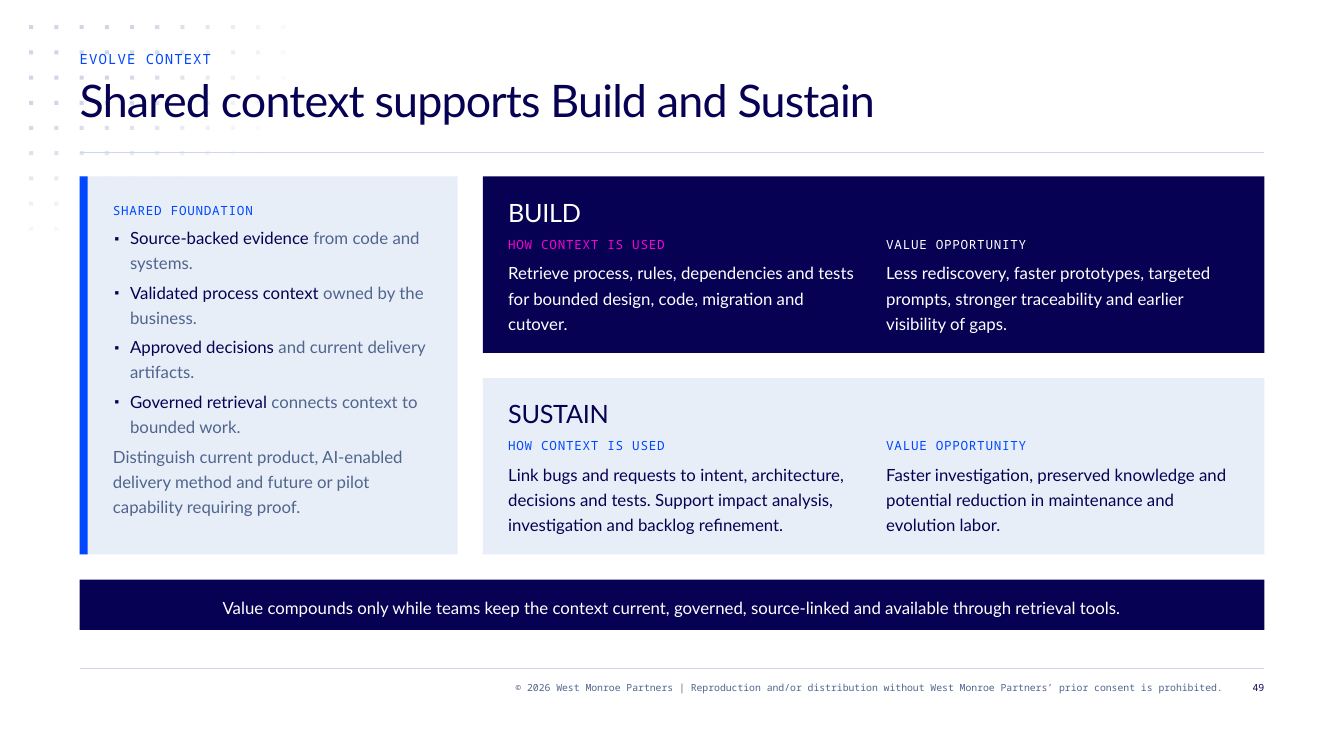
from collections import namedtuple
from math import hypot

from lxml.etree import SubElement
from pptx import Presentation
from pptx.dml.color import RGBColor
from pptx.enum.shapes import MSO_CONNECTOR, MSO_SHAPE
from pptx.enum.text import MSO_ANCHOR, MSO_AUTO_SIZE, PP_ALIGN
from pptx.oxml.ns import qn
from pptx.util import Inches, Pt

NAVY = RGBColor(0x07, 0x01, 0x54)
BLUE = RGBColor(0x00, 0x47, 0xFF)
PINK = RGBColor(0xF9, 0x00, 0xD3)
SLATE = RGBColor(0x50, 0x65, 0x8E)
MIST = RGBColor(0xCE, 0xD7, 0xE6)
PALE = RGBColor(0xE8, 0xEE, 0xF8)
WHITE = RGBColor(0xFF, 0xFF, 0xFF)
SANS, MONO = "Lato", "Noto Sans Mono"

Box = namedtuple("Box", "left top width height")

FOUNDATION = [
    ("Source-backed evidence", " from code and systems."),
    ("Validated process context", " owned by the business."),
    ("Approved decisions", " and current delivery artifacts."),
    ("Governed retrieval", " connects context to bounded work."),
]
FOUNDATION_NOTE = ("Distinguish current product, AI-enabled delivery method and "
                   "future or pilot capability requiring proof.")
BUILD = ("Retrieve process, rules, dependencies and tests for bounded design, "
         "code, migration and cutover.",
         "Less rediscovery, faster prototypes, targeted prompts, stronger "
         "traceability and earlier visibility of gaps.")
SUSTAIN = ("Link bugs and requests to intent, architecture, decisions and tests. "
           "Support impact analysis, investigation and backlog refinement.",
           "Faster investigation, preserved knowledge and potential reduction in "
           "maintenance and evolution labor.")


def add_rectangle(slide, box, color):
    shape = slide.shapes.add_shape(MSO_SHAPE.RECTANGLE, *map(Inches, box))
    shape.shadow.inherit = False
    shape.fill.solid()
    shape.fill.fore_color.rgb = color
    shape.line.fill.background()
    return shape


def add_rule(slide, left, top, width):
    line = slide.shapes.add_connector(
        MSO_CONNECTOR.STRAIGHT, Inches(left), Inches(top),
        Inches(left + width), Inches(top))
    line.line.color.rgb = MIST
    line.line.width = Pt(0.75)
    SubElement(line.element.spPr, qn("a:effectLst"))


def prepare_frame(shape):
    frame = shape.text_frame
    frame.word_wrap = True
    frame.auto_size = MSO_AUTO_SIZE.NONE
    frame.vertical_anchor = MSO_ANCHOR.TOP
    frame.margin_left = frame.margin_top = 0
    frame.margin_right = frame.margin_bottom = 0
    return frame


def place_placeholder(placeholder, box):
    """Move a placeholder to its box and to the front."""
    placeholder.left, placeholder.top = Inches(box.left), Inches(box.top)
    placeholder.width, placeholder.height = Inches(box.width), Inches(box.height)
    placeholder.element.getparent().append(placeholder.element)
    return prepare_frame(placeholder)


def write_text(paragraph, *parts, size=12, font=SANS, leading=18, tracking=0,
               align=PP_ALIGN.LEFT, before=0):
    """Fill a paragraph with (text, colour) parts."""
    paragraph.alignment = align
    paragraph.line_spacing = Pt(leading)
    paragraph.space_before = Pt(before)
    paragraph.space_after = Pt(0)
    for text, color in parts:
        run = paragraph.add_run()
        run.text = text
        run.font.name = font
        run.font.size = Pt(size)
        run.font.color.rgb = color
        if tracking:
            run.font._element.set("spc", str(round(tracking * 100)))


def add_text(slide, box, text, color, **text_format):
    frame = prepare_frame(slide.shapes.add_textbox(*map(Inches, box)))
    write_text(frame.paragraphs[0], (text, color), **text_format)


def add_label(slide, box, text, color):
    add_text(slide, box, text, color, size=9, font=MONO, leading=12, tracking=0.5)


def set_bullet(paragraph, indent=0.17, visible=True):
    properties = paragraph._p.get_or_add_pPr()
    margin = Inches(indent) if visible else 0
    properties.set("marL", str(margin))
    properties.set("indent", str(-margin))
    if not visible:
        SubElement(properties, qn("a:buNone"))
        return
    color = SubElement(properties, qn("a:buClr"))
    SubElement(color, qn("a:srgbClr"), val=str(NAVY))
    SubElement(properties, qn("a:buSzPct"), val="80000")
    SubElement(properties, qn("a:buFont"), typeface=MONO)
    SubElement(properties, qn("a:buChar"), char="▪")


def add_dot_grid(slide, box, pitch=0.25, dot=0.04):
    """Dots that fade with elliptical distance from the corner."""
    for column in range(11):
        for row in range(9 if column < 3 else 7):
            opacity = min(1, 1.533 * (1 - hypot(column / 11.08, row / 9.07)))
            if opacity <= 0:
                continue
            shape = add_rectangle(slide, Box(box.left + column * pitch,
                                             box.top + row * pitch, dot, dot), MIST)
            if opacity < 1:
                color = shape.element.spPr.find(qn("a:solidFill"))[0]
                SubElement(color, qn("a:alpha"), val=str(round(opacity * 100) * 1000))


def add_header(slide, box):
    add_rule(slide, box.left, box.top + 1.01, box.width)
    add_text(slide, box._replace(height=0.17), "EVOLVE CONTEXT", BLUE,
             size=10, font=MONO, leading=12, tracking=0.8)
    title = place_placeholder(slide.shapes.title,
                              box._replace(top=box.top + 0.25, height=0.75))
    write_text(title.paragraphs[0], ("Shared context supports Build and Sustain", NAVY),
               size=32, leading=36, tracking=-0.6)


def add_foundation(slide, box):
    add_rectangle(slide, box, PALE)
    add_rectangle(slide, box._replace(width=0.08), BLUE)
    inner = Box(box.left + 0.33, box.top + 0.25, box.width - 0.58, 0.17)
    add_label(slide, inner, "SHARED FOUNDATION", BLUE)
    body = place_placeholder(slide.placeholders[1],
                             inner._replace(top=box.top + 0.46, height=2.92))
    for index, (lead, rest) in enumerate(FOUNDATION):
        paragraph = body.add_paragraph() if index else body.paragraphs[0]
        set_bullet(paragraph)
        write_text(paragraph, (lead, NAVY), (rest, SLATE), before=3 if index else 0)
    note = body.add_paragraph()
    set_bullet(note, visible=False)
    write_text(note, (FOUNDATION_NOTE, SLATE), before=3)


def add_stage(slide, box, name, texts, fill, text_color, label_colors):
    add_rectangle(slide, box, fill)
    left = box.left + 0.25
    add_text(slide, Box(left, box.top + 0.17, box.width - 0.5, 0.33), name, text_color,
             size=18, leading=24, tracking=-0.2)
    labels = ("HOW CONTEXT IS USED", "VALUE OPPORTUNITY")
    for column, (label, color, text) in enumerate(zip(labels, label_colors, texts)):
        cell = Box(left + column * 3.75, box.top + 0.58, 3.5, 0.17)
        add_label(slide, cell, label, color)
        add_text(slide, cell._replace(top=box.top + 0.81, height=0.75), text, text_color)


def add_takeaway(slide, box):
    add_rectangle(slide, box, NAVY)
    add_text(slide, Box(box.left + 0.17, box.top + 0.13, box.width - 0.34, 0.25),
             "Value compounds only while teams keep the context current, governed, "
             "source-linked and available through retrieval tools.",
             WHITE, align=PP_ALIGN.CENTER)


def add_footer(slide, box):
    add_rule(slide, box.left, box.top, box.width)
    small = dict(size=7, font=MONO, leading=9, align=PP_ALIGN.RIGHT)
    right, top = box.left + box.width, box.top + 0.12
    add_text(slide, Box(right - 10.16, top, 9.75, 0.25),
             "© 2026 West Monroe Partners | Reproduction and/or distribution without "
             "West Monroe Partners’ prior consent is prohibited.", SLATE, **small)
    add_text(slide, Box(right - 0.33, top, 0.33, 0.25), "49", NAVY, **small)


def main():
    presentation = Presentation()
    presentation.slide_width = Inches(13.33)
    presentation.slide_height = Inches(7.5)
    slide = presentation.slides.add_slide(presentation.slide_layouts[1])

    left, width = 0.79, 11.75
    add_dot_grid(slide, Box(0.29, 0.25, 2.54, 2.04))
    add_header(slide, Box(left, 0.5, width, 1.01))
    add_foundation(slide, Box(left, 1.75, 3.75, 3.75))

    # Stage panels beside the foundation
    stage = Box(left + 4, 1.75, 7.75, 1.75)
    add_stage(slide, stage, "BUILD", BUILD, NAVY, WHITE, (PINK, WHITE))
    add_stage(slide, stage._replace(top=3.75), "SUSTAIN", SUSTAIN, PALE, NAVY,
              (BLUE, BLUE))

    add_takeaway(slide, Box(left, 5.75, width, 0.5))
    add_footer(slide, Box(left, 6.63, width, 0.37))
    presentation.save("out.pptx")


if __name__ == "__main__":
    main()
